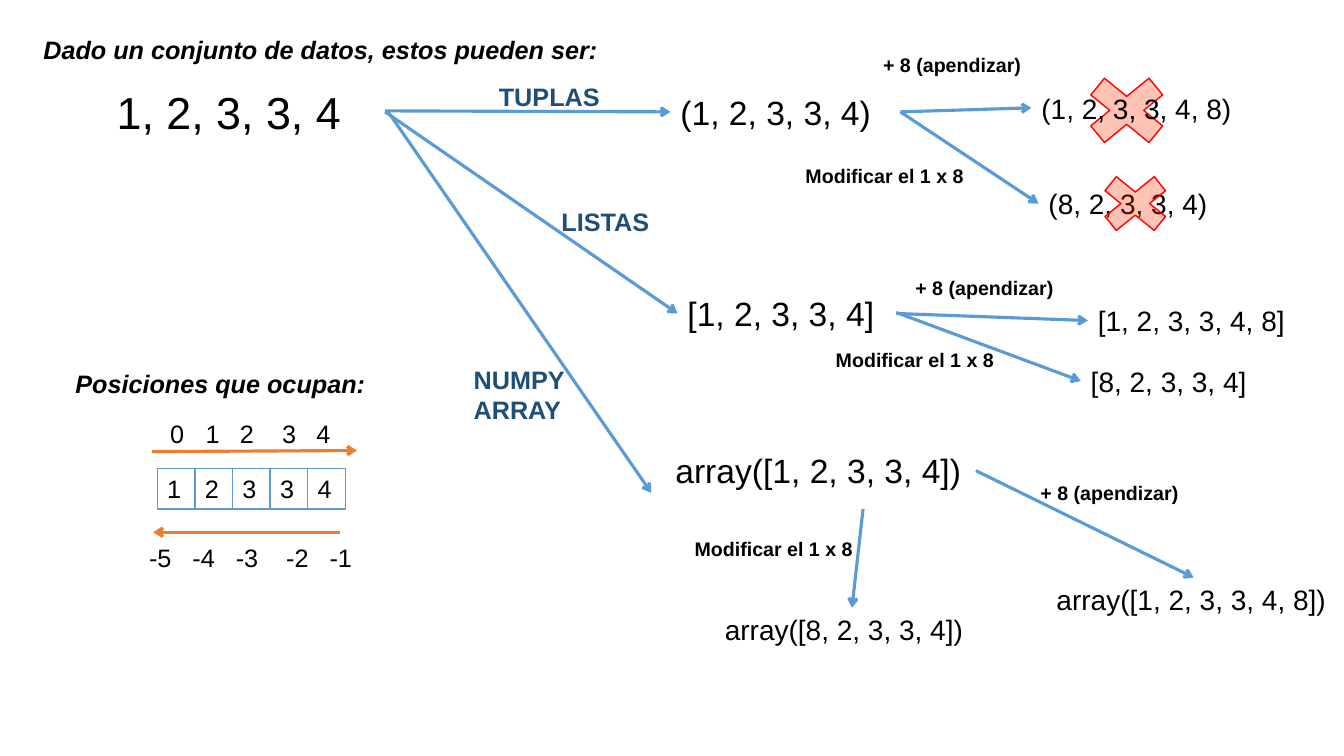
import pptx
import pptx.util
import pptx.dml.color
import pptx.enum.shapes
import pptx.enum.text
import pptx.oxml
import pptx.oxml.ns
from lxml import etree

Inches = pptx.util.Inches
MSO_SHAPE = pptx.enum.shapes.MSO_SHAPE
ANCHOR = pptx.enum.text.MSO_ANCHOR

BLUE, ORANGE, NAVY, BLACK, WHITE = "5B9BD5", "ED7D31", "1F4E79", "000000", "FFFFFF"

FORMATS = {
    "data": {"size": 32, "color": BLACK},
    "structure": {"size": 24, "color": BLACK},
    "result": {"size": 20, "color": BLACK},
    "type": {"size": 18, "color": NAVY, "bold": True},
    "operation": {"size": 14, "color": BLACK, "bold": True},
    "heading": {"size": 18, "color": BLACK, "bold": True, "italic": True},
    "position": {"size": 18, "color": BLACK},
}

HEADING = ("Dado un conjunto de datos, estos pueden ser:", (0.33, 0.29, 5.83, 0.4))
APPEND, MODIFY = "+ 8 (apendizar)", "Modificar el 1 x 8"

LABELS = {
    "data": [("1, 2, 3, 3, 4", (1.06, 0.79, 2.76, 0.64))],
    "structure": [
        ("(1, 2, 3, 3, 4)", (6.65, 0.86, 2.29, 0.5)),
        ("[1, 2, 3, 3, 4]", (6.72, 2.86, 2.17, 0.5)),
        ("array([1, 2, 3, 3, 4])", (6.6, 4.41, 3.08, 0.5)),
    ],
    "type": [
        ("TUPLAS", (4.85, 0.76, 1.5, 0.4)),
        ("LISTAS", (5.47, 2, 1.32, 0.4)),
        ("NUMPY ARRAY", (4.6, 3.25, 1.13, 1.01)),
    ],
    "operation": [
        (APPEND, (8.66, 0.48, 1.72, 0.34)),
        (MODIFY, (7.89, 1.58, 2.01, 0.34)),
        (APPEND, (8.98, 2.69, 2.32, 0.34)),
        (MODIFY, (8.19, 3.4, 2.32, 0.34)),
        (APPEND, (10.22, 4.72, 2.32, 0.34)),
        (MODIFY, (6.79, 5.28, 2.32, 0.34)),
    ],
    "result": [
        ("(1, 2, 3, 3, 4, 8)", (10.23, 0.86, 3.38, 0.44)),
        ("(8, 2, 3, 3, 4)", (10.3, 1.8, 1.98, 0.44)),
        ("[1, 2, 3, 3, 4, 8]", (10.79, 2.96, 2.37, 0.44)),
        ("[8, 2, 3, 3, 4]", (10.72, 3.57, 2.76, 0.44)),
        ("array([1, 2, 3, 3, 4, 8])", (10.38, 5.73, 2.92, 0.44)),
        ("array([8, 2, 3, 3, 4])", (7.09, 6.03, 2.76, 0.44)),
    ],
    "heading": [("Posiciones que ocupan:", (0.65, 3.6, 3.74, 0.4))],
}

POSITIONS = [
    (["0", "1", "2", "3", "4"], (1.59, 4.1, 1.9, 0.4), [0.35, 0.69, 1.11, 1.45]),
    (["-5", "-4", "-3", "-2", "-1"], (1.38, 5.33, 2.22, 0.4), [0.43, 0.86, 1.36, 1.79]),
]
CELL_VALUES = ["1", "2", "3", "3", "4"]
CELL_LEFT, CELL_TOP, CELL_STEP, CELL_HEIGHT = 1.56, 4.65, 0.373, 0.4

ARROWS = {
    BLUE: [
        ((3.82, 1.1), (6.65, 1.11)),
        ((3.82, 1.11), (6.72, 3.11)),
        ((3.85, 1.11), (6.46, 4.89)),
        ((8.93, 1.11), (10.23, 1.07)),
        ((8.93, 1.11), (10.3, 2.02)),
        ((8.89, 3.11), (10.79, 3.18)),
        ((8.89, 3.1), (10.72, 3.78)),
        ((9.68, 4.67), (11.84, 5.73)),
        ((8.56, 5.05), (8.45, 6.03)),
    ],
    ORANGE: [((1.51, 4.48), (3.54, 4.47)), ((3.37, 5.28), (1.52, 5.28))],
}

APPEND_CROSS = (10.62, 0.64, 1.11, 0.91)
MODIFY_CROSS = (10.79, 1.64, 0.94, 0.76)


def rgb(color):
    return pptx.dml.color.RGBColor.from_string(color)


def add_element(parent, tag, **attributes):
    element = etree.SubElement(parent, pptx.oxml.ns.qn(tag))
    for key, value in attributes.items():
        element.set(key, str(value))
    return element


def write(shape, text, style, anchor=ANCHOR.TOP):
    frame = shape.text_frame
    frame.text = text
    frame.word_wrap = True
    frame.auto_size = pptx.enum.text.MSO_AUTO_SIZE.NONE
    frame.vertical_anchor = anchor
    paragraph = frame.paragraphs[0]
    paragraph.alignment = pptx.enum.text.PP_ALIGN.LEFT
    font = paragraph.runs[0].font
    values = dict(FORMATS[style], name="Arial")
    font.color.rgb = rgb(values.pop("color"))
    values["size"] = pptx.util.Pt(values["size"])
    for key, value in values.items():
        setattr(font, key, value)
    return paragraph


def add_label(text, box, style):
    label = slide.shapes.add_textbox(*map(Inches, box))
    anchor = ANCHOR.BOTTOM if style == "type" else ANCHOR.TOP
    return write(label, text, style, anchor)


def add_block(preset, box, fill, line):
    block = slide.shapes.add_shape(preset, *map(Inches, box))
    block.shadow.inherit = False
    block.fill.solid()
    block.fill.fore_color.rgb = rgb(fill)
    block.line.color.rgb = rgb(line)
    block.line.width = pptx.util.Pt(1)
    return block


def add_cross(box):
    cross = add_block(MSO_SHAPE.MATH_MULTIPLY, box, "FF3300", "FF0000")
    fill_color = cross.fill._xPr.find(".//" + pptx.oxml.ns.qn("a:srgbClr"))
    add_element(fill_color, "a:alpha", val=29000)


def add_arrow(start, end, color):
    arrow = slide.shapes.add_connector(
        pptx.enum.shapes.MSO_CONNECTOR.STRAIGHT, *map(Inches, start + end))
    arrow.line.color.rgb = rgb(color)
    arrow.line.width = pptx.util.Pt(2.25)
    add_element(arrow.line._get_or_add_ln(), "a:tailEnd", type="arrow")
    add_element(arrow._element.spPr, "a:effectLst")


presentation = pptx.Presentation()
presentation.slide_width = Inches(13.33)
presentation.slide_height = Inches(7.5)
slide = presentation.slides.add_slide(presentation.slide_layouts[5])

heading_text, heading_box = HEADING
heading = slide.shapes.title
for side, length in zip(("left", "top", "width", "height"), heading_box):
    setattr(heading, side, Inches(length))
write(heading, heading_text, "heading")

add_cross(APPEND_CROSS)

for color, routes in ARROWS.items():
    for start, end in routes:
        add_arrow(start, end, color)

for style, labels in LABELS.items():
    for text, box in labels:
        add_label(text, box, style)

for index, value in enumerate(CELL_VALUES):
    cell_box = (CELL_LEFT + index * CELL_STEP, CELL_TOP, CELL_STEP, CELL_HEIGHT)
    cell = add_block(MSO_SHAPE.RECTANGLE, cell_box, WHITE, BLUE)
    write(cell, value, "position")

for numbers, box, stops in POSITIONS:
    paragraph = add_label("\t".join(numbers), box, "position")
    tab_list = add_element(paragraph._p.get_or_add_pPr(), "a:tabLst")
    for stop in stops:
        add_element(tab_list, "a:tab", pos=Inches(stop), algn="l")

add_cross(MODIFY_CROSS)

presentation.save("out.pptx")
